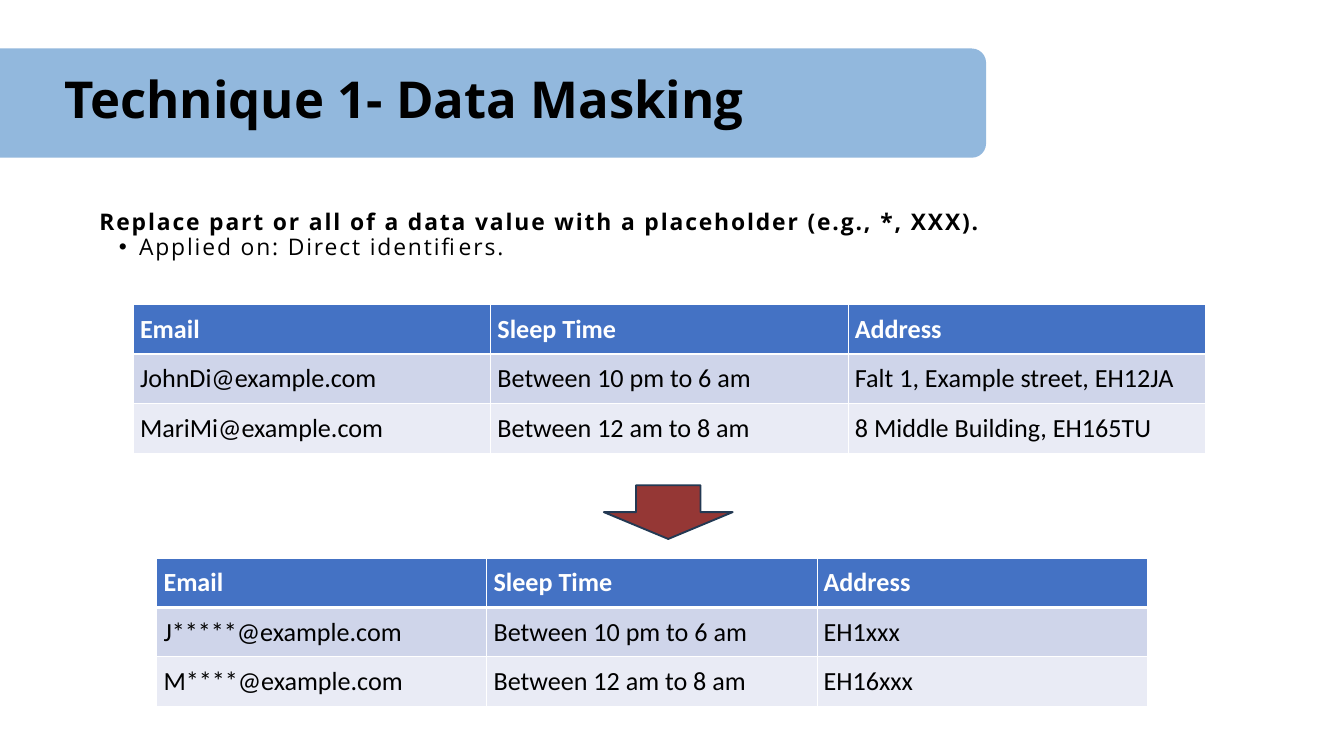
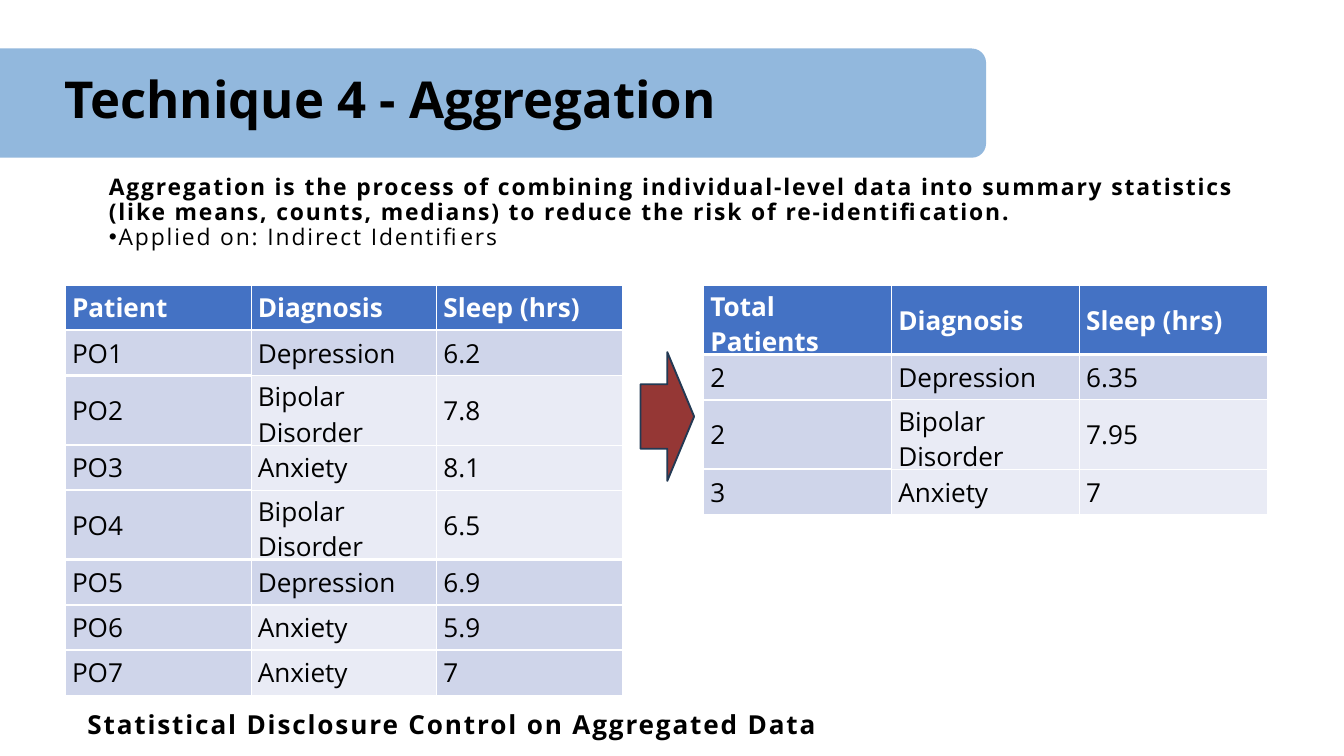
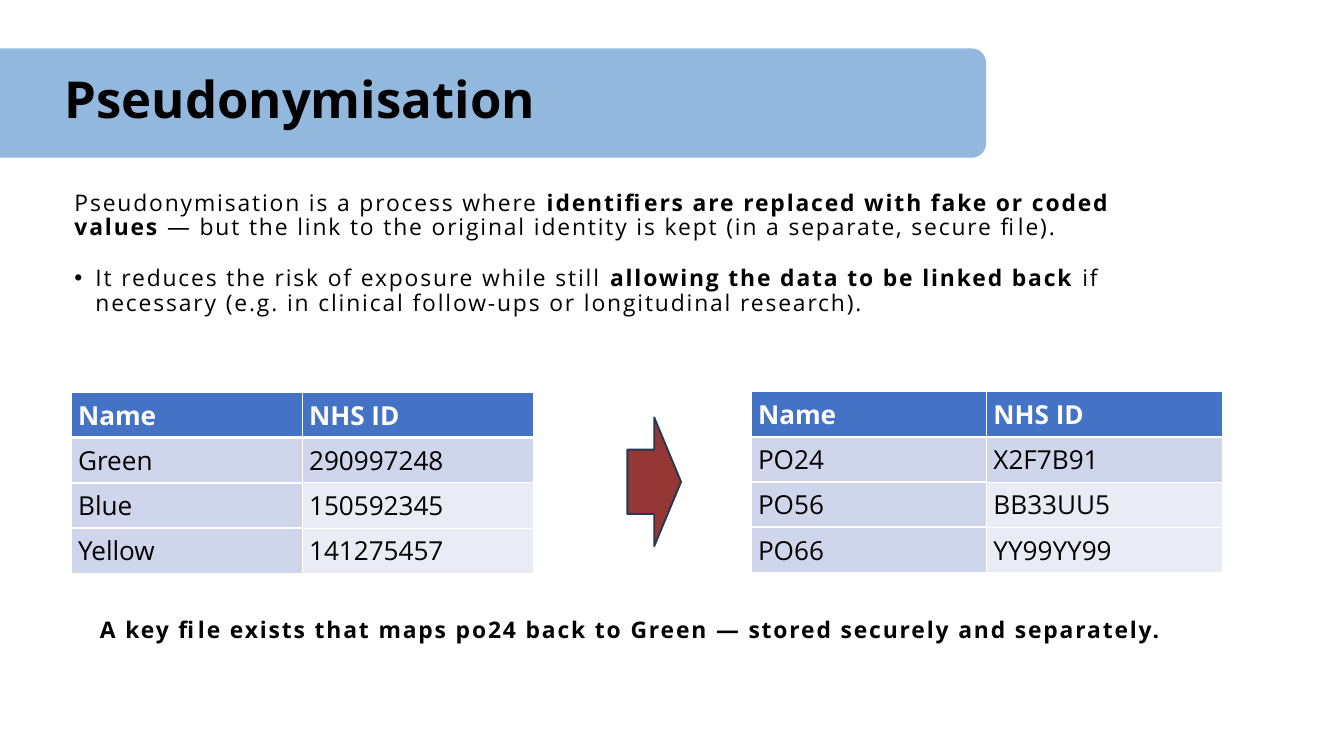
from lxml import etree
from pptx import Presentation
from pptx.dml.color import RGBColor
from pptx.enum import shapes, text
from pptx.oxml.ns import qn
from pptx.util import Pt

COLORS = {
    "band": "92B8DD", "ink": "000000", "white": "FFFFFF", "header": "4472C4",
    "dark": "CFD5EA", "light": "E9EBF5", "arrow": "953735", "outline": "233953",
}
FONT = "Open Sans"
THIN, THICK = 0.95, 2.85
ROW = 48.4
ARROW_W, ARROW_H = 138, 57.5


def rgb(name):
    """Return the named colour."""
    return RGBColor.from_string(COLORS[name])


def write(tf, txt, *, size=24.5, font=FONT, color="ink", bold=False,
          spacing=0, line=None, before=None, bullet=None):
    """Add one paragraph; parts between bars get the opposite weight."""
    p = tf.add_paragraph() if tf.text else tf.paragraphs[0]
    p.alignment = text.PP_ALIGN.LEFT
    if bullet:
        left, hang = bullet
        pPr = p._p.get_or_add_pPr()
        pPr.set("marL", str(Pt(left)))
        pPr.set("indent", str(Pt(-hang)))
        etree.SubElement(pPr, qn("a:buFont")).set("typeface", "Arial")
        etree.SubElement(pPr, qn("a:buChar")).set("char", "•")
    if line:
        p.line_spacing = line
    if before:
        p.space_before = Pt(before)
    for i, part in enumerate(txt.split("|")):
        r = p.add_run()
        r.text = part
        r.font.size, r.font.name = Pt(size), font
        r.font.bold = bold != (i % 2 == 1)
        r.font.color.rgb = rgb(color)
        if spacing:
            r._r.get_or_add_rPr().set("spc", str(spacing * 100))


def add_body(s, box, *paragraphs):
    """Place a text box holding (text, format) paragraphs."""
    tf = s.shapes.add_textbox(*map(Pt, box)).text_frame
    tf.word_wrap = True
    tf.auto_size = text.MSO_AUTO_SIZE.SHAPE_TO_FIT_TEXT
    for txt, fmt in paragraphs:
        write(tf, txt, spacing=2, line=0.9, **fmt)


def add_shape(s, kind, box, fill):
    """Add a flat preset shape without an outline."""
    sp = s.shapes.add_shape(kind, *map(Pt, box))
    sp.shadow.inherit = False
    sp.fill.solid()
    sp.fill.fore_color.rgb = rgb(fill)
    sp.line.fill.background()
    return sp


def add_arrow(s, left, top, rotation=0):
    """Add the red block arrow between two tables."""
    sp = add_shape(s, shapes.MSO_SHAPE.DOWN_ARROW, (left, top, ARROW_W, ARROW_H), "arrow")
    sp.rotation = rotation
    sp.line.color.rgb = rgb("outline")
    sp.line.width = Pt(2)


def add_heading(prs, title):
    """Start a slide with its title on the blue band."""
    s = prs.slides.add_slide(prs.slide_layouts[5])
    band = add_shape(s, shapes.MSO_SHAPE.ROUNDED_RECTANGLE, (-144, 52, 1200.5, 117), "band")
    band.adjustments[0] = 0.13
    sp = s.shapes.title
    sp.element.addprevious(band.element)
    sp.left, sp.top, sp.width, sp.height = map(Pt, (69, 80, 962, 67))
    tf = sp.text_frame
    tf.margin_left = tf.margin_top = tf.margin_right = tf.margin_bottom = 0
    tf.vertical_anchor = text.MSO_ANCHOR.TOP
    tf.word_wrap = True
    tf.auto_size = text.MSO_AUTO_SIZE.SHAPE_TO_FIT_TEXT
    write(tf, title, size=54.5, bold=True, line=0.9)
    return s


def add_border(cell, side, width):
    """Draw one white cell border."""
    ln = etree.SubElement(cell._tc.get_or_add_tcPr(), qn(f"a:ln{side}"), w=str(Pt(width)))
    fill = etree.SubElement(ln, qn("a:solidFill"))
    etree.SubElement(fill, qn("a:srgbClr"), val=COLORS["white"])


def add_grid(s, box, rows, *, font=FONT, row_height=ROW, keyed=True, shades=(), thick_from=99):
    """Add a table; shades gives D or L per body cell, keyed marks a first key column."""
    left, top, width = box
    n, m = len(rows), len(rows[0])
    table = s.shapes.add_table(n, m, *map(Pt, (left, top, width, n * row_height))).table
    table.first_row = table.horz_banding = False
    for col in table.columns:
        col.width = Pt(width / m)

    def rule(r, c):
        """Return the border width below row r."""
        inner = 0 <= r < n - 1
        heavy = r == 0 or r >= thick_from or (keyed and c == 0)
        return THICK if inner and heavy else THIN

    for r, values in enumerate(rows):
        table.rows[r].height = Pt(row_height)
        for c, value in enumerate(values):
            cell = table.cell(r, c)
            cell.vertical_anchor = text.MSO_ANCHOR.MIDDLE
            for side, w in (("L", THIN), ("R", THIN), ("T", rule(r - 1, c)), ("B", rule(r, c))):
                add_border(cell, side, w)
            if r == 0:
                fill = "header"
            elif shades:
                fill = "dark" if shades[r - 1][c] == "D" else "light"
            else:
                fill = "dark" if r == 1 or (keyed and c == 0) else "light"
            cell.fill.solid()
            cell.fill.fore_color.rgb = rgb(fill)
            write(cell.text_frame, value, size=28, font=font, bold=r == 0,
                  color="ink" if r else "white")


def masking_slide(prs):
    """Build the data masking slide."""
    s = add_heading(prs, "Technique 1- Data Masking")
    add_body(s, (99.5, 222.5, 1235, 67.5),
             ("Replace part or all of a data value with a placeholder (e.g., *, XXX).", {"bold": True}),
             ("Applied on: Direct identifiers.", {"bullet": (42.5, 21.6)}))
    header = ("Email", "Sleep Time", "Address")
    style = {"font": "Calibri", "row_height": 53, "keyed": False}
    add_grid(s, (142.8, 326.4, 1149), [
        header,
        ("JohnDi@example.com", "Between 10 pm to 6 am", "Falt 1, Example street, EH12JA"),
        ("MariMi@example.com", "Between 12 am to 8 am", "8 Middle Building, EH165TU"),
    ], **style)
    add_grid(s, (168, 597.8, 1061), [
        header,
        ("J*****@example.com", "Between 10 pm to 6 am", "EH1xxx"),
        ("M****@example.com", "Between 12 am to 8 am", "EH16xxx"),
    ], **style)
    add_arrow(s, 647, 520)


def aggregation_slide(prs):
    """Build the aggregation slide."""
    s = add_heading(prs, "Technique 4 - Aggregation")
    add_arrow(s, 646, 417.5, 270)
    add_grid(s, (70, 305.5, 597), [
        ("Patient", "Diagnosis", "Sleep (hrs)"),
        ("PO1", "Depression", "6.2"),
        ("PO2", "Bipolar Disorder", "7.8"),
        ("PO3", "Anxiety", "8.1"),
        ("PO4", "Bipolar Disorder", "6.5"),
        ("PO5", "Depression", "6.9"),
        ("PO6", "Anxiety", "5.9"),
        ("PO7", "Anxiety", "7"),
    ], shades=("DDD", "DLL", "DLL", "DLL", "DDD", "DLD", "DLD"), thick_from=4)
    add_grid(s, (754, 305.5, 604), [
        ("Total Patients", "Diagnosis", "Sleep (hrs)"),
        ("2", "Depression", "6.35"),
        ("2", "Bipolar Disorder", "7.95"),
        ("3", "Anxiety", "7"),
    ])
    add_body(s, (109.5, 185, 1235, 126),
             ("Aggregation is the process of combining individual-level data into summary "
              "statistics (like means, counts, medians) to reduce the risk of "
              "re-identification.", {"bold": True}),
             ("Applied on: Indirect Identifiers", {"bullet": (10.6, 10.6)}))
    add_body(s, (86.5, 759, 1201, 41),
             ("Statistical Disclosure Control on Aggregated Data", {"size": 28, "bold": True}))


def pseudonym_slide(prs):
    """Build the pseudonymisation slide."""
    s = add_heading(prs, "Pseudonymisation")
    add_body(s, (72.7, 201.6, 1201, 155.5),
             ("Pseudonymisation is a process where| identifiers are replaced with fake or coded "
              "values| — but the link to the original identity is kept (in a separate, "
              "secure file).", {}),
             ("It reduces the risk of exposure while still |allowing the data to be linked back| "
              "if necessary (e.g. in clinical follow-ups or longitudinal research).",
              {"bullet": (22.5, 22.5), "before": 28}))
    header = ("Name", "NHS ID")
    add_grid(s, (76.5, 420.5, 495), [
        header, ("Green", "290997248"), ("Blue", "150592345"), ("Yellow", "141275457"),
    ])
    add_grid(s, (805, 419.8, 504.5), [
        header, ("PO24", "X2F7B91"), ("PO56", "BB33UU5"), ("PO66", "YY99YY99"),
    ])
    add_arrow(s, 632, 487.5, 270)
    add_body(s, (100, 659, 1201, 36.7),
             ("A key file exists that maps po24 back to Green — stored securely and separately.",
              {"bold": True}))


def main():
    """Build and save the deck."""
    prs = Presentation()
    prs.slide_width, prs.slide_height = Pt(1440), Pt(810)
    masking_slide(prs)
    aggregation_slide(prs)
    pseudonym_slide(prs)
    prs.save("out.pptx")


if __name__ == "__main__":
    main()
